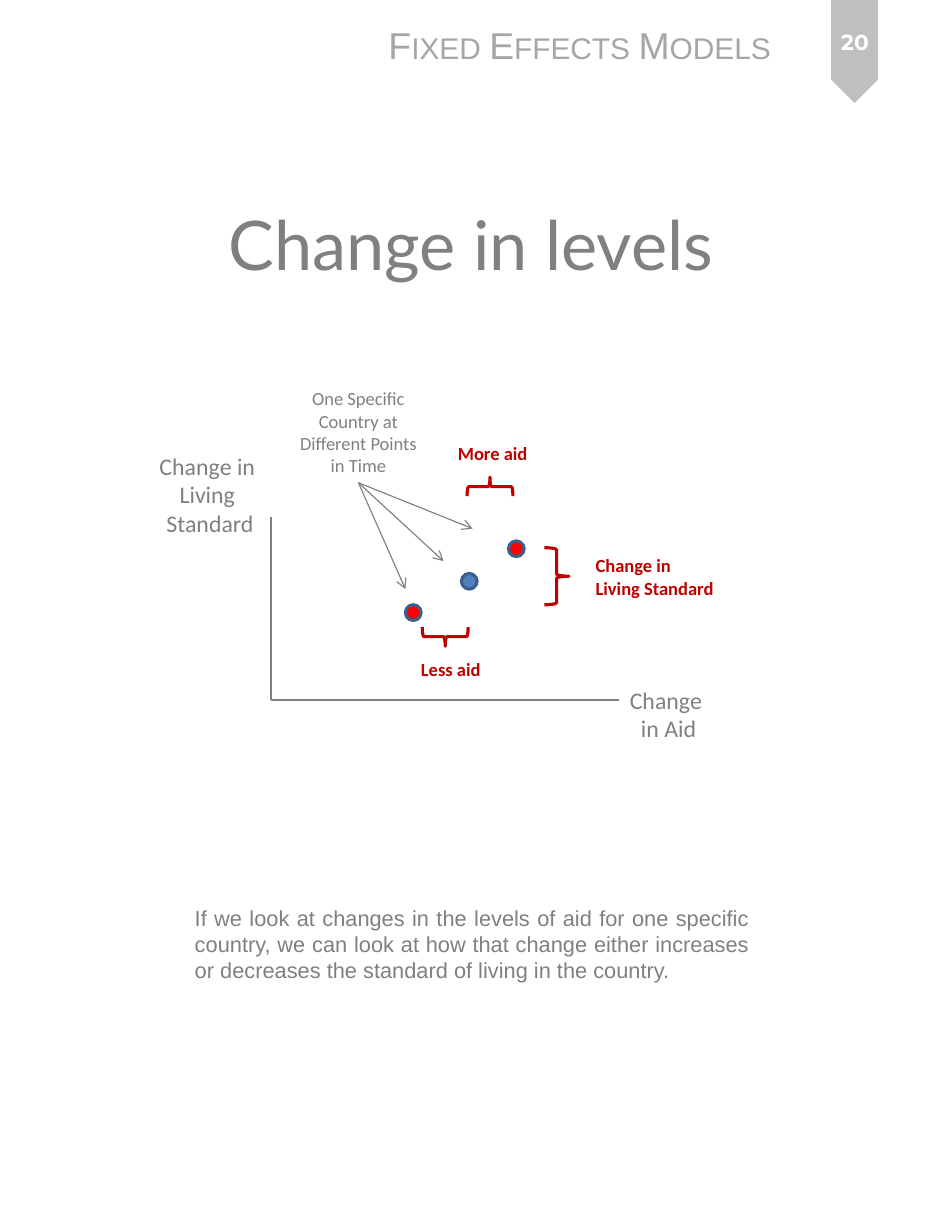
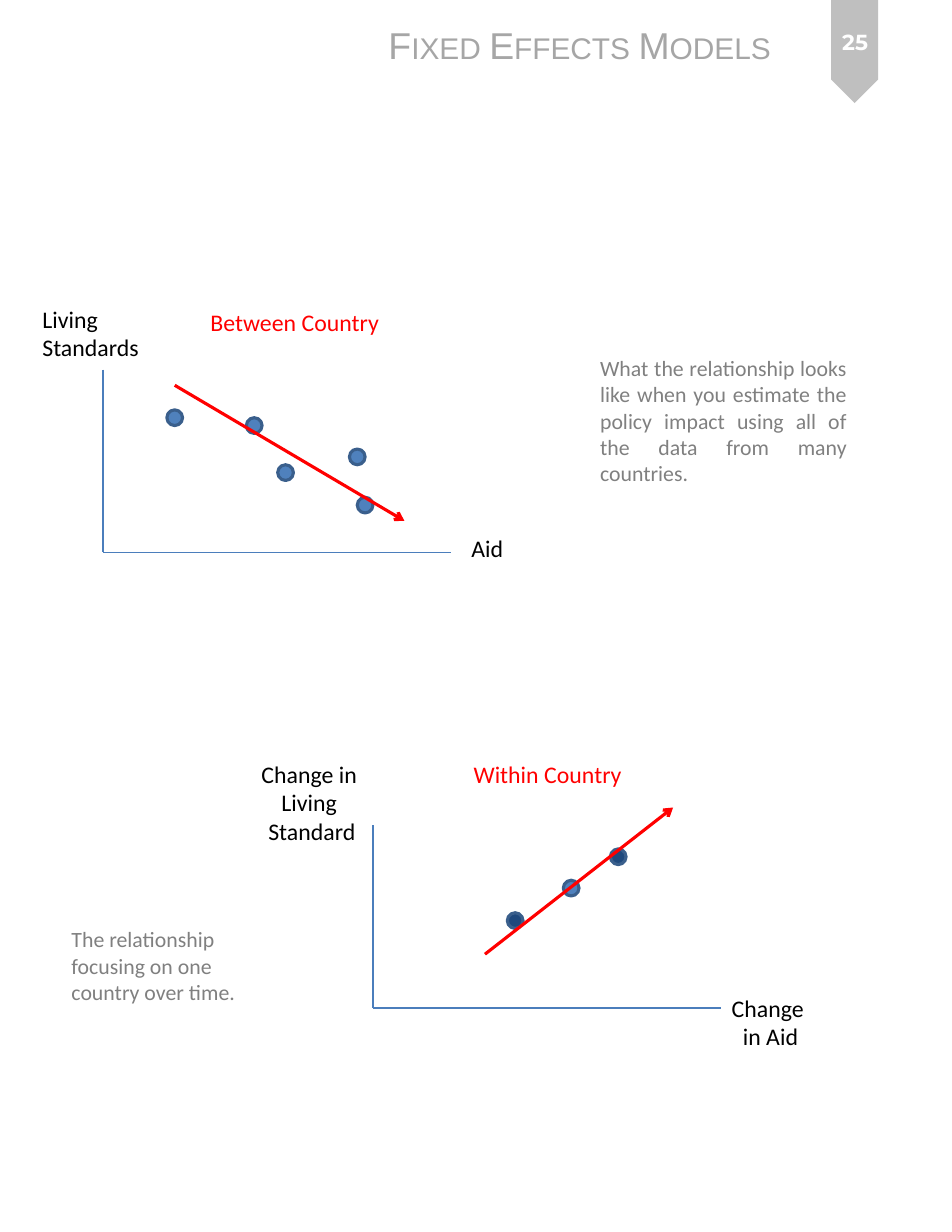
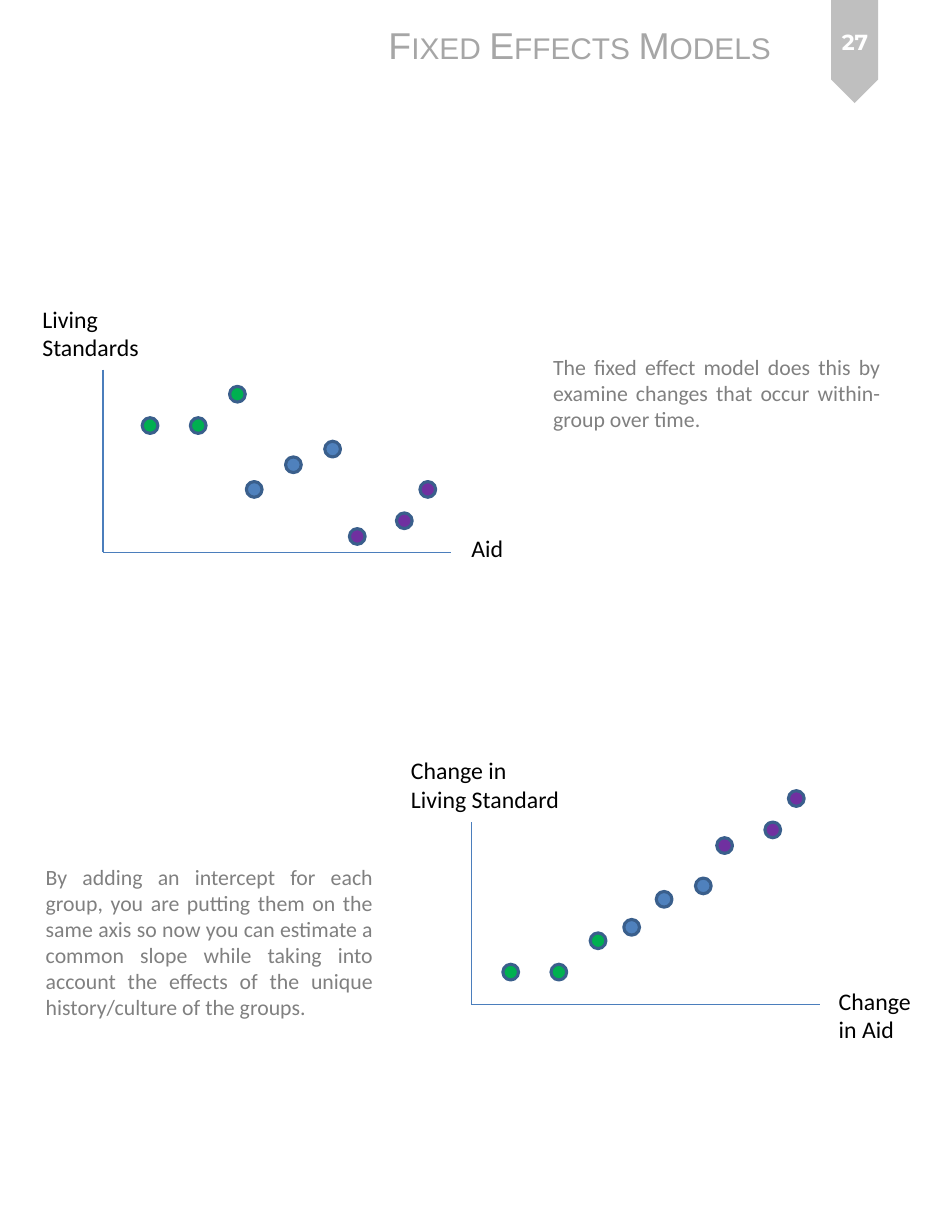
import collections

import lxml.etree
import pptx
import pptx.dml.color
import pptx.enum.shapes
import pptx.enum.text
import pptx.oxml.ns
import pptx.util

RGBColor = pptx.dml.color.RGBColor
Align = pptx.enum.text.PP_ALIGN
Anchor = pptx.enum.text.MSO_ANCHOR
ShapeKind = pptx.enum.shapes.MSO_SHAPE

WHITE = RGBColor(0xFF, 0xFF, 0xFF)
BLACK = RGBColor(0x00, 0x00, 0x00)
GRAY = RGBColor(0x80, 0x80, 0x80)
HEADING_GRAY = RGBColor(0xA6, 0xA6, 0xA6)
RIBBON_GRAY = RGBColor(0xBF, 0xBF, 0xBF)
RED = RGBColor(0xFF, 0x00, 0x00)
DARK_RED = RGBColor(0xC0, 0x00, 0x00)
BLUE = RGBColor(0x4F, 0x81, 0xBD)
NAVY = RGBColor(0x1F, 0x49, 0x7D)
AXIS_BLUE = RGBColor(0x4B, 0x7E, 0xBC)
DOT_OUTLINE = RGBColor(0x3A, 0x5F, 0x8C)
GREEN = RGBColor(0x00, 0xB0, 0x50)
PURPLE = RGBColor(0x70, 0x30, 0xA0)

WIDTH = pptx.util.Inches(8.5)
HEIGHT = pptx.util.Inches(11)
COLUMNS, ROWS = 85, 110
AXIS_COLUMNS, AXIS_ROWS = 31.1, 16.3
DOT = 1.4
TITLE_ONLY, BLANK = 5, 6

Style = collections.namedtuple("Style", "font size color bold", defaults=[False])
HEADING = Style("Arial", 24, HEADING_GRAY)
PAGE_NUMBER = Style("Montserrat", 14, WHITE, True)
TITLE = Style("Lato", 44, GRAY)
AXIS_LABEL = Style("Calibri", 15.3, BLACK)
GRAY_AXIS_LABEL = Style("Calibri", 15.3, GRAY)
TREND_LABEL = Style("Calibri", 15.3, RED)
NOTE = Style("Calibri", 14, GRAY)
ARIAL_NOTE = Style("Arial", 14, GRAY)
CALLOUT = Style("Calibri", 11.9, GRAY)
RED_CALLOUT = Style("Calibri", 11.9, DARK_RED, True)


def x(column):
    return round(WIDTH * column / COLUMNS)


def y(row):
    return round(HEIGHT * row / ROWS)


def grid_box(left, top, width, height):
    return x(left), y(top), x(width), y(height)


def write(frame, text, style, align):
    paragraph = frame.paragraphs[0]
    paragraph.alignment = align
    for index, line in enumerate(text.split("\n")):
        if index:
            paragraph.add_line_break()
        run = paragraph.add_run()
        run.text = line
        run.font.name = style.font
        run.font.size = pptx.util.Pt(style.size)
        run.font.bold = style.bold
        run.font.color.rgb = style.color
    return paragraph


def add_text(slide, box, text, style, align=Align.LEFT, wrap=False, fill=None):
    shape = slide.shapes.add_textbox(*grid_box(*box))
    shape.text_frame.word_wrap = wrap
    if fill is not None:
        shape.fill.solid()
        shape.fill.fore_color.rgb = fill
    write(shape.text_frame, text, style, align)
    return shape


def add_line(slide, start, end, color, weight=0.75, arrow=False):
    line = slide.shapes.add_connector(
        pptx.enum.shapes.MSO_CONNECTOR.STRAIGHT,
        x(start[0]), y(start[1]), x(end[0]), y(end[1]))
    line.line.color.rgb = color
    line.line.width = pptx.util.Pt(weight)
    if arrow:
        outline = line.line._get_or_add_ln()
        lxml.etree.SubElement(outline, pptx.oxml.ns.qn("a:tailEnd"), type="arrow")
    properties = line.element.find(pptx.oxml.ns.qn("p:spPr"))
    lxml.etree.SubElement(properties, pptx.oxml.ns.qn("a:effectLst"))


def add_figure(slide, kind, box, fill=None, outline=None, rotation=0):
    shape = slide.shapes.add_shape(kind, *grid_box(*box))
    shape.shadow.inherit = False
    shape.rotation = rotation
    if fill is None:
        shape.fill.background()
    else:
        shape.fill.solid()
        shape.fill.fore_color.rgb = fill
    if outline is None:
        shape.line.fill.background()
    else:
        shape.line.color.rgb = outline
        shape.line.width = pptx.util.Pt(2)
    return shape


def add_axes(slide, left, top, color=AXIS_BLUE):
    bottom = top + AXIS_ROWS
    add_line(slide, (left, top), (left, bottom), color)
    add_line(slide, (left, bottom), (left + AXIS_COLUMNS, bottom), color)


def add_dots(slide, fill, *places):
    for left, top in places:
        add_figure(slide, ShapeKind.OVAL, (left, top, DOT, DOT), fill, DOT_OUTLINE)


def add_brace(slide, box, rotation=0):
    add_figure(slide, ShapeKind.RIGHT_BRACE, box, outline=DARK_RED, rotation=rotation)


def add_page(presentation, number, layout=BLANK):
    slide = presentation.slides.add_slide(presentation.slide_layouts[layout])
    label = add_text(slide, (72.6, 0.8, 7.5, 5.9), number, PAGE_NUMBER, Align.CENTER, True)
    label.text_frame.vertical_anchor = Anchor.MIDDLE
    return slide


def move_header_to_master(presentation, slide):
    ribbon = add_figure(slide, ShapeKind.PENTAGON, (71.7, 2.5, 9.2, 4.2), RIBBON_GRAY, rotation=90)
    heading = add_text(slide, (33.7, 1.5, 36.8, 5), "Fixed Effects Models", HEADING)
    for run in heading.text_frame.paragraphs[0].runs:
        run.font._element.set("cap", "small")
    for shape in (ribbon, heading):
        presentation.slide_master.shapes.element.append(shape.element)


def set_title(slide, box, text):
    title = slide.shapes.title
    title.left, title.top, title.width, title.height = grid_box(*box)
    title.text_frame.vertical_anchor = Anchor.TOP
    title.text_frame.auto_size = pptx.enum.text.MSO_AUTO_SIZE.NONE
    write(title.text_frame, text, TITLE, Align.CENTER)


def add_between_axes(slide):
    add_axes(slide, 9.2, 33)
    add_text(slide, (2.8, 26.7, 10.7, 6.2), "Living\nStandards", AXIS_LABEL)
    add_text(slide, (41.1, 47.2, 4.9, 3.6), "Aid", AXIS_LABEL)


def add_within_axes(slide, left, top, color, style):
    add_axes(slide, left, top, color)
    add_text(slide, (left - 11, top - 6.4, 11.1, 8.7),
             "Change in \nLiving \nStandard", style, Align.CENTER)
    add_text(slide, (left + 31, top + 14.5, 9, 6.2), "Change \nin Aid", style, Align.CENTER)


def build_change_in_levels(presentation):
    slide = add_page(presentation, "20", TITLE_ONLY)
    move_header_to_master(presentation, slide)
    set_title(slide, (3.8, 17.5, 76.5, 10.6), "Change in levels")
    add_within_axes(slide, 24.2, 46.2, GRAY, GRAY_AXIS_LABEL)
    add_dots(slide, BLUE, (41.2, 51.2))
    add_dots(slide, RED, (36.2, 54), (45.4, 48.3))
    add_brace(slide, (48.6, 48.9, 2.2, 5.1))
    add_brace(slide, (38.9, 54.8, 1.7, 4.1), 90)
    add_brace(slide, (42.9, 41.4, 1.7, 4.1), 270)
    add_text(slide, (52.2, 49, 12.7, 5), "Change in \nLiving Standard", RED_CALLOUT)
    add_text(slide, (36.6, 58.3, 7.4, 3), "Less aid", RED_CALLOUT, fill=WHITE)
    add_text(slide, (39.9, 39, 8.3, 3), "More aid", RED_CALLOUT, fill=WHITE)
    add_text(slide, (25.8, 34.1, 12.4, 9), "One Specific Country at Different Points in Time",
             CALLOUT, Align.CENTER, True)
    for tip in ((39.6, 50.1), (36.2, 52.6), (42.2, 47.2)):
        add_line(slide, (32, 43.1), tip, GRAY, arrow=True)
    add_text(slide, (16.4, 80.3, 51.5, 8.1),
             "If we look at changes in the levels of aid for one specific country, we can look at "
             "how that change either increases or decreases the standard of living in the country.",
             ARIAL_NOTE, Align.JUSTIFY, True)


def build_between_and_within(presentation):
    slide = add_page(presentation, "25")
    add_between_axes(slide)
    add_dots(slide, BLUE, (31.2, 40.1), (22, 37.3), (14.9, 36.6), (24.8, 41.5), (31.9, 44.4))
    add_text(slide, (17.8, 27, 22.6, 3.6), "Between Country", TREND_LABEL, wrap=True)
    add_line(slide, (15.6, 34.4), (36.1, 46.5), RED, 2, True)
    add_text(slide, (52.6, 31.2, 24, 12.8),
             "What the relationship looks like when you estimate the policy impact using all of "
             "the data from many countries.", NOTE, Align.JUSTIFY, True)
    add_within_axes(slide, 33.3, 73.7, AXIS_BLUE, AXIS_LABEL)
    add_dots(slide, BLUE, (50.3, 78.6))
    add_dots(slide, NAVY, (45.3, 81.5), (54.5, 75.8))
    add_text(slide, (41.3, 67.3, 22.6, 3.6), "Within Country", TREND_LABEL, wrap=True)
    add_line(slide, (43.3, 85.2), (60.1, 72.1), RED, 2, True)
    add_text(slide, (5.4, 82.2, 18, 8.1),
             "The relationship focusing on one country over time.", NOTE, wrap=True)


def build_common_slope(presentation):
    slide = add_page(presentation, "27")
    add_between_axes(slide)
    add_dots(slide, GREEN, (12.7, 37.3), (17, 37.3), (20.5, 34.5))
    add_dots(slide, BLUE, (22, 43), (25.5, 40.8), (29, 39.4))
    add_dots(slide, PURPLE, (31.2, 47.2), (35.4, 45.8), (37.5, 43))
    add_text(slide, (48.4, 31.1, 31.2, 8.1),
             "The fixed effect model does this by examine changes that occur within-group "
             "over time.", NOTE, Align.JUSTIFY, True)
    add_axes(slide, 42.1, 73.4)
    add_text(slide, (35.7, 67, 15.3, 6.2), "Change in \nLiving Standard", AXIS_LABEL)
    add_text(slide, (73.9, 87.6, 9, 6.2), "Change \nin Aid", AXIS_LABEL)
    add_dots(slide, GREEN, (44.9, 86.1), (49.2, 86.1), (52.7, 83.3))
    add_dots(slide, BLUE, (55.7, 82.1), (58.6, 79.6), (62.1, 78.4))
    add_dots(slide, PURPLE, (64, 74.8), (68.3, 73.4), (70.4, 70.6))
    add_text(slide, (3.1, 76.6, 31.2, 15.1),
             "By adding an intercept for each group, you are putting them on the same axis so now "
             "you can estimate a common slope while taking into account the effects of the unique "
             "history/culture of the groups.", NOTE, Align.JUSTIFY, True)


def main():
    presentation = pptx.Presentation()
    presentation.slide_width, presentation.slide_height = WIDTH, HEIGHT
    build_change_in_levels(presentation)
    build_between_and_within(presentation)
    build_common_slope(presentation)
    presentation.save("out.pptx")


if __name__ == "__main__":
    main()
